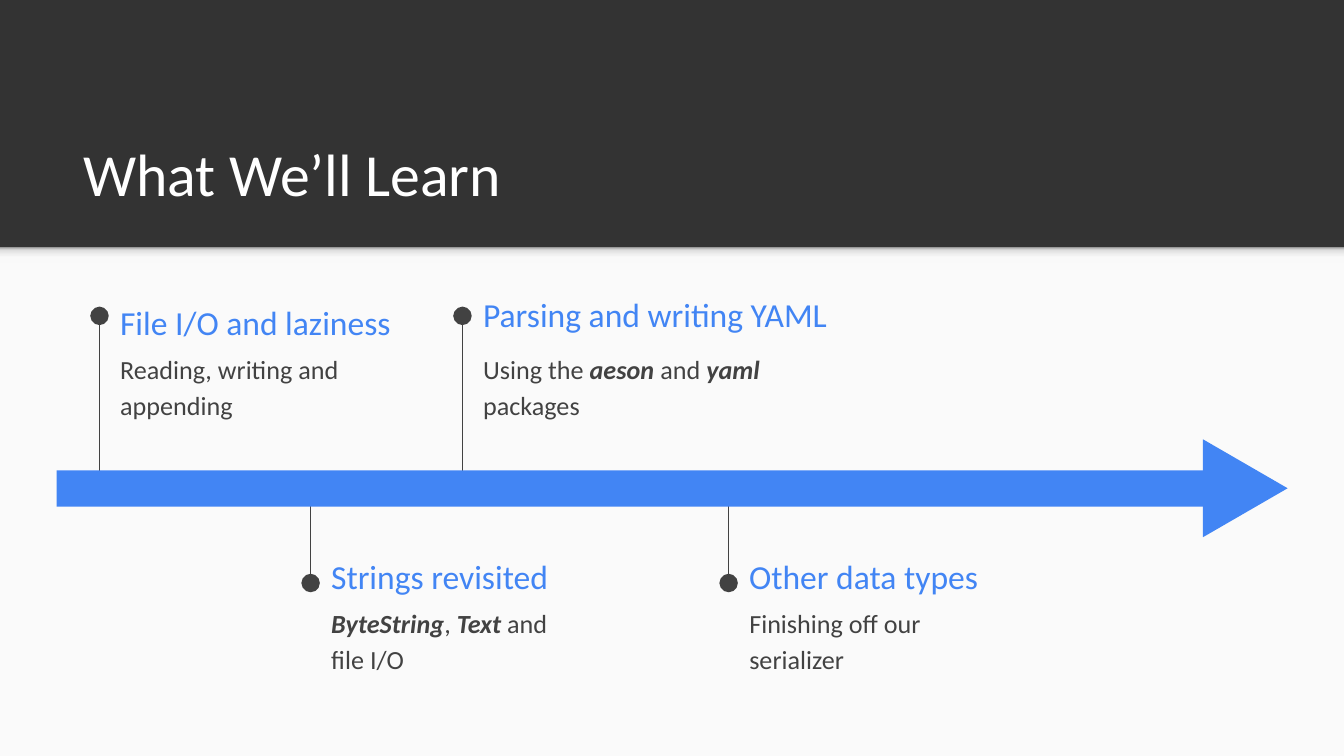
from lxml.etree import SubElement as Sub
from pptx import Presentation
from pptx.dml.color import RGBColor as Rgb
from pptx.enum.shapes import MSO_CONNECTOR as Link, MSO_SHAPE as Kind
from pptx.enum.text import MSO_ANCHOR as Anchor, MSO_AUTO_SIZE as Auto, PP_ALIGN as Align
from pptx.oxml.ns import qn
from pptx.util import Cm, Pt

INK = {"back": "333333", "panel": "FAFAFA", "blue": "4285F4", "text": "424242", "white": "FFFFFF"}
FRAME = {"word_wrap": True, "auto_size": Auto.NONE, "margin_left": Cm(0.25),
         "margin_right": Cm(0.25), "margin_top": Cm(0.25), "margin_bottom": Cm(0.25)}
HEAD = {"alignment": Align.LEFT, "line_spacing": 1.0, "space_before": Pt(0)}
BODY = {**HEAD, "line_spacing": 1.15, "space_after": Pt(16)}


def write(box, place, runs, size, ink, anchor, para):
    """Place a text holder and fill it with (text, strong) runs."""
    box.left, box.top, box.width, box.height = [Cm(v) for v in place]
    frame = box.text_frame
    for key, val in {**FRAME, "vertical_anchor": anchor}.items():
        setattr(frame, key, val)
    line = frame.paragraphs[0]
    for key, val in para.items():
        setattr(line, key, val)
    for text, strong in runs:
        run = line.add_run()
        run.text = text
        look = {"name": "Calibri", "size": Pt(size), "bold": strong, "italic": strong}
        for key, val in look.items():
            setattr(run.font, key, val)
        run.font.color.rgb = Rgb.from_string(INK[ink])
    return line


def block(kind, place, ink):
    """Add a plain filled shape."""
    shape = slide.shapes.add_shape(kind, *[Cm(v) for v in place])
    shape.shadow.inherit = False
    shape.fill.solid()
    shape.fill.fore_color.rgb = Rgb.from_string(INK[ink])
    shape.line.fill.background()
    return shape


deck = Presentation()
deck.slide_width, deck.slide_height = Cm(25.4), Cm(14.29)
slide = deck.slides.add_slide(deck.slide_layouts[4])
slide.background.fill.solid()
slide.background.fill.fore_color.rgb = Rgb.from_string(INK["back"])

# Light panel with a soft shade along its top, behind the text
panel = block(Kind.RECTANGLE, (0, 4.67, 25.4, 9.62), "panel")
shade = block(Kind.RECTANGLE, (0, 4.67, 25.4, 0.3), "panel")
shade.fill.gradient()
shade.fill.gradient_angle = 90
stops = shade._element.spPr.find(".//" + qn("a:gsLst"))
for old in list(stops):
    stops.remove(old)
for pos, tone in ((0, "F9F9F9"), (36, "F9F9F9"), (80, "DEDEDE"), (100, "999999")):
    stop = Sub(stops, qn("a:gs"), pos=str(pos * 1000))
    Sub(stop, qn("a:srgbClr"), val=tone)
tree = slide.shapes._spTree
for spot, shape in enumerate((panel, shade), 2):
    tree.insert(spot, shape._element)

# Title
write(slide.shapes.title, (1.32, 2.06, 22.83, 2.13), [("What We’ll Learn", False)],
      32, "white", Anchor.BOTTOM, HEAD)

# Steps: line x, heading width and height, detail width, heading, detail runs
steps = [
    (1.88, 6.15, 1.09, 5.03, "File I/O and laziness",
     [("Reading, writing and appending", False)]),
    (5.87, 6.45, 1.09, 5.03, "Strings revisited",
     [("ByteString", True), (", ", False), ("Text", True), (" and file I/O", False)]),
    (8.74, 8.25, 0.81, 6.6, "Parsing and writing YAML",
     [("Using the ", False), ("aeson", True), (" and ", False), ("yaml", True),
      (" packages", False)]),
    (13.77, 6.88, 1.09, 5.03, "Other data types",
     [("Finishing off our serializer", False)]),
]
# Above and below the arrow: line start, dot, heading top, detail top
rows = [(8.95, 5.97, 5.54, 6.35), (9.5, 11.02, 10.34, 11.15)]
holds = [hold for hold in slide.placeholders if 1 <= hold.placeholder_format.idx <= 4]

for num, (x, wide, high, span, name, runs) in enumerate(steps):
    start, dot, top, low = rows[num % 2]
    pin = slide.shapes.add_connector(Link.STRAIGHT, Cm(x), Cm(start), Cm(x), Cm(dot))
    pin.line.color.rgb = Rgb.from_string(INK["text"])
    pin.line.width = Pt(0.75)
    Sub(pin.line._get_or_add_ln(), qn("a:tailEnd"), type="oval", w="lg", len="lg")
    Sub(pin._element.spPr, qn("a:effectLst"))

    left = x + 0.14
    label = slide.shapes.add_textbox(0, 0, 0, 0)
    write(label, (left, top, wide, high), [(name, False)], 18, "blue", Anchor.MIDDLE, HEAD)
    line = write(holds[num], (left, low, span, 1.6), runs, 14, "text", Anchor.TOP, BODY)
    props = line._p.get_or_add_pPr()
    props.set("marL", "0")
    props.set("indent", "0")
    Sub(props, qn("a:buNone"))

# Timeline arrow
tip = block(Kind.ISOSCELES_TRIANGLE, (22.61, 8.43, 1.85, 1.6), "blue")
tip.rotation = 90
bar = block(Kind.RECTANGLE, (1.07, 8.89, 21.95, 0.69), "blue")
slide.shapes.add_group_shape([tip, bar])

deck.save("out.pptx")
